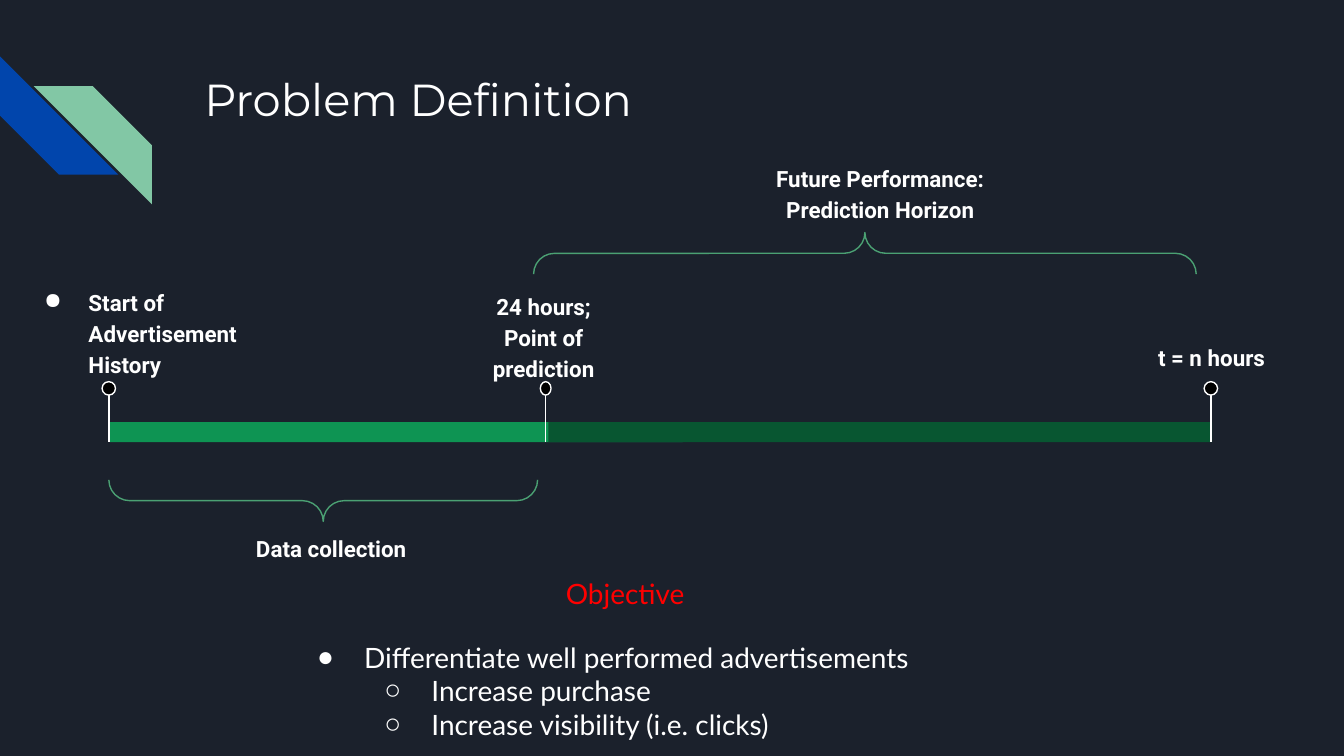
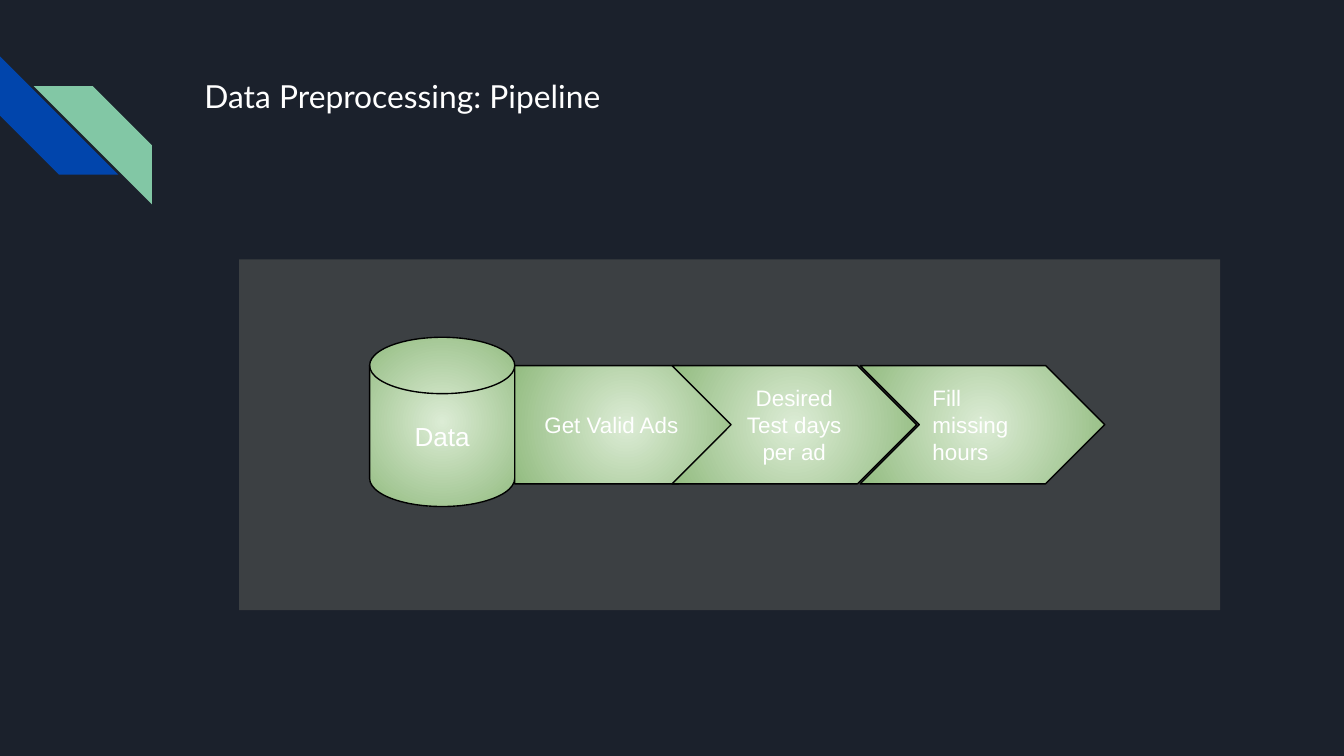
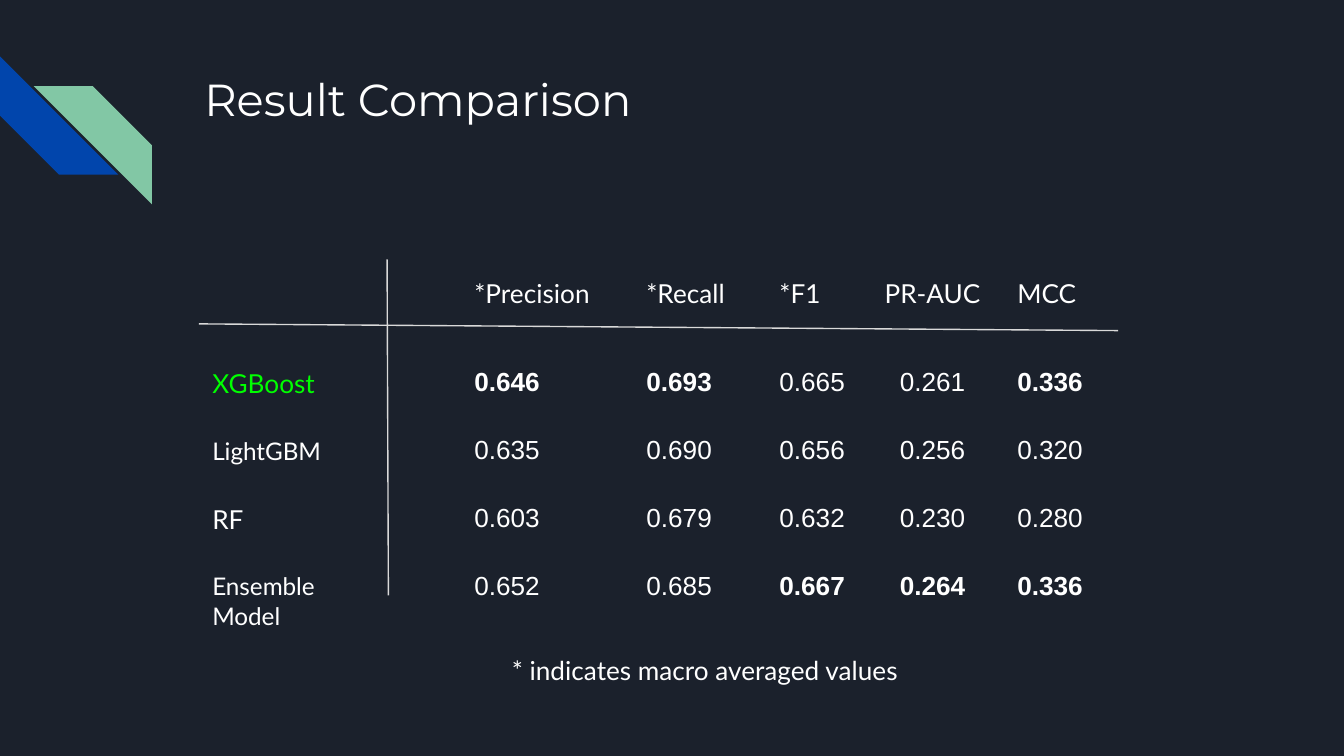
from dataclasses import dataclass
from typing import NamedTuple

from lxml import etree
from pptx import Presentation
from pptx.dml.color import RGBColor
from pptx.enum.shapes import MSO_CONNECTOR, MSO_SHAPE
from pptx.enum.text import MSO_ANCHOR, MSO_AUTO_SIZE, PP_ALIGN
from pptx.oxml.ns import qn
from pptx.util import Emu, Inches, Pt

RECT, OVAL = MSO_SHAPE.RECTANGLE, MSO_SHAPE.OVAL
STRIPE, BRACE = MSO_SHAPE.DIAGONAL_STRIPE, MSO_SHAPE.LEFT_BRACE
DISK = MSO_SHAPE.FLOWCHART_MAGNETIC_DISK
PLATE, CHEVRON = MSO_SHAPE.PENTAGON, MSO_SHAPE.CHEVRON
LINE = MSO_CONNECTOR.STRAIGHT
LEFT, MID = PP_ALIGN.LEFT, PP_ALIGN.CENTER
TOP, CENTER = MSO_ANCHOR.TOP, MSO_ANCHOR.MIDDLE
FIXED, GROW = MSO_AUTO_SIZE.NONE, MSO_AUTO_SIZE.SHAPE_TO_FIT_TEXT

WIDTH, HEIGHT = Inches(10), Inches(5.625)
COLS = 100
NIGHT, WHITE, BLACK, RED = "1B212C", "FFFFFF", "000000", "FF0000"
BLUE, MINT, LIME, GRAY = "0145AC", "82C7A5", "00FF00", "D9D9D9"
GREEN, FOREST, LEAF, SLATE = "0E9453", "085631", "4BA173", "3C4043"
PALE, SAGE = "DCECD5", "93BC81"
THIN = Pt(0.75)


class Box(NamedTuple):
    x: float
    y: float
    w: float
    h: float


@dataclass
class Style:
    size: float = 12
    font: str = "Arial"
    tint: str = WHITE
    bold: bool = False


@dataclass
class Label:
    box: Box
    lines: list
    align: int = MID
    dot: str = ""


@dataclass
class Step:
    kind: int
    box: Box
    text: str
    size: int = 12
    align: int = MID


@dataclass
class Model:
    name: str
    scores: str
    best: tuple = ()
    size: int = 14
    tint: str = WHITE


TITLE = Style(24, "Montserrat")
SMALL = Style(17, "Lato")
STRONG = Style(12, "Roboto", bold=True)
LIST = Style(15, "Lato")
HEAD = Style(14, "Lato")


def grid(n: float) -> Emu:
    return Emu(round(n * WIDTH / COLS))


def place(box: Box) -> list:
    return [grid(n) for n in box]


def color(code: str) -> RGBColor:
    return RGBColor.from_string(code)


def write(para, text: str, style: Style) -> None:
    run = para.add_run()
    run.text = text
    font = run.font
    font.size, font.name, font.bold = Pt(style.size), style.font, style.bold
    font.color.rgb = color(style.tint)


def pad(frame, top: float = 1, anchor: int = TOP, size: int = FIXED) -> None:
    frame.margin_left = frame.margin_right = frame.margin_bottom = grid(1)
    frame.margin_top = grid(top)
    frame.vertical_anchor = anchor
    frame.word_wrap = True
    frame.auto_size = size


def indent(para, left: float, first: float, dot: str = "") -> None:
    props = para._p.get_or_add_pPr()
    props.set("marL", str(grid(left)))
    props.set("indent", str(grid(first)))
    if dot:
        hue = etree.SubElement(props, qn("a:buClr"))
        etree.SubElement(hue, qn("a:srgbClr"), val=WHITE)
        etree.SubElement(props, qn("a:buChar"), char=dot)
    else:
        etree.SubElement(props, qn("a:buNone"))


def draw(slide, kind: int, box: Box, fill: str = "", edge: str = "", turn: float = 0):
    shape = slide.shapes.add_shape(kind, *place(box))
    shape.shadow.inherit = False
    shape.rotation = turn
    if fill:
        shape.fill.solid()
        shape.fill.fore_color.rgb = color(fill)
    else:
        shape.fill.background()
    if edge:
        shape.line.color.rgb = color(edge)
        shape.line.width = THIN
    else:
        shape.line.fill.background()
    return shape


def glow(shape) -> None:
    shape.fill.gradient()
    for stop, tint in zip(shape.fill.gradient_stops, (PALE, SAGE)):
        stop.color.rgb = color(tint)
    fade = shape.element.spPr.find(qn("a:gradFill"))
    fade.remove(fade.find(qn("a:lin")))
    ring = etree.SubElement(fade, qn("a:path"))
    ring.set("path", "circle")
    etree.SubElement(ring, qn("a:fillToRect"), l="50000", t="50000", r="50000", b="50000")


def rule(slide, x1: float, y1: float, x2: float, y2: float, tint: str) -> None:
    line = slide.shapes.add_connector(LINE, *place(Box(x1, y1, x2, y2)))
    line.line.color.rgb = color(tint)
    line.line.width = THIN
    etree.SubElement(line.element.spPr, qn("a:effectLst"))


def pin(slide, x: float, wide: float) -> None:
    rule(slide, x, 28.9, x, 32.9, WHITE)
    draw(slide, OVAL, Box(x - wide / 2, 28.4, wide, 1), BLACK, WHITE)


def brace(slide, box: Box, turn: float) -> None:
    draw(slide, BRACE, box, edge=LEAF, turn=turn).adjustments[0] = 0.5


def label(slide, item: Label) -> None:
    frame = slide.shapes.add_textbox(*place(item.box)).text_frame
    pad(frame)
    para = frame.paragraphs[0]
    para.alignment = item.align
    para.line_spacing = 1.15
    if item.dot:
        indent(para, 5, -3.3, item.dot)
    else:
        para.space_after = Pt(16)
    for i, text in enumerate(item.lines):
        if i:
            para.add_line_break()
        write(para, text, STRONG)


def start(deck, text: str, style: Style = TITLE, gap: float = 1, layout: int = 5):
    slide = deck.slides.add_slide(deck.slide_layouts[layout])
    head = slide.shapes.title
    head.left, head.top, head.width, head.height = place(Box(14.2, 4.3, 77, 10))
    pad(head.text_frame)
    para = head.text_frame.paragraphs[0]
    para.alignment = LEFT
    para.line_spacing = gap
    write(para, text, style)
    return slide


def brand(deck, slide) -> None:
    master = deck.slide_master
    master.background.fill.solid()
    master.background.fill.fore_color.rgb = color(NIGHT)
    blue = draw(slide, STRIPE, Box(0, 4.2, 8.8, 8.8), BLUE, turn=270)
    mint = draw(slide, STRIPE, Box(2.5, 6.4, 8.8, 8.8), MINT)
    mint.element.spPr.find(qn("a:xfrm")).set("flipH", "1")
    for shape in (blue, mint):
        master.shapes.element.append(shape.element)


def goals(slide) -> None:
    body = slide.placeholders[1]
    body.left, body.top, body.width, body.height = place(Box(21.1, 37.2, 51.6, 18.3))
    frame = body.text_frame
    pad(frame, top=5.7)
    rows = [
        ("Objective", 0, 15, 5, "", 0, RED),
        ("Differentiate well performed advertisements", 0, 5, -3.5, "●", 16, WHITE),
        ("Increase purchase", 1, 10, -3.5, "○", 0, WHITE),
        ("Increase visibility (i.e. clicks)", 1, 10, -3.5, "○", 0, WHITE),
    ]
    for i, (text, level, left, first, dot, gap, tint) in enumerate(rows):
        para = frame.add_paragraph() if i else frame.paragraphs[0]
        para.level = level
        para.space_before = Pt(gap)
        indent(para, left, first, dot)
        write(para, text, Style(LIST.size, LIST.font, tint))


def problem(deck) -> None:
    slide = start(deck, "Problem Definition", layout=1)
    brand(deck, slide)
    for x, wide, tint in [(40.2, 10.6, GREEN), (40.8, 49.4, FOREST), (8.2, 32, GREEN)]:
        draw(slide, RECT, Box(x, 31.4, wide, 1.5), tint)
    for item in [
        Label(Box(83.5, 24.3, 13.3, 4.1), ["t = n hours"]),
        Label(Box(32.2, 20.5, 16.5, 4.1), ["24 hours;", "Point of", "prediction"]),
        Label(Box(56, 11, 19, 4.1), ["Future Performance: Prediction Horizon"]),
        Label(Box(18, 38.5, 13.3, 4.1), ["Data collection"]),
        Label(Box(0.6, 20.2, 22.5, 6.5), ["Start of Advertisement History"], LEFT, "●"),
    ]:
        label(slide, item)
    brace(slide, Box(62.8, -5.8, 3.1, 49.3), 90)
    brace(slide, Box(22.5, 21.3, 3.1, 31.9), 270)
    for x, wide in [(8.1, 1), (90.1, 1), (40.6, 0.8)]:
        pin(slide, x, wide)
    goals(slide)


def process(deck) -> None:
    slide = start(deck, "Data Preprocessing: Pipeline", SMALL, 1.15)
    draw(slide, RECT, Box(17.8, 19.3, 73, 26.1), SLATE)
    for step in [
        Step(DISK, Box(27.5, 25.1, 10.8, 12.6), "Data", 14),
        Step(PLATE, Box(38.3, 27.2, 16.6, 8.8), "Get Valid Ads"),
        Step(CHEVRON, Box(50, 27.2, 18.2, 8.8), "Desired Test days per ad"),
        Step(CHEVRON, Box(64, 27.2, 18.2, 8.8), "Fill missing hours", align=LEFT),
    ]:
        shape = draw(slide, step.kind, step.box, edge=BLACK)
        glow(shape)
        pad(shape.text_frame, anchor=CENTER)
        para = shape.text_frame.paragraphs[0]
        para.alignment = step.align
        write(para, step.text, Style(step.size))


def border(cell) -> None:
    props = cell._tc.get_or_add_tcPr()
    for i, side in enumerate("LRTB"):
        line = etree.Element(qn("a:ln" + side), w=str(THIN))
        fill = etree.SubElement(line, qn("a:solidFill"))
        etree.SubElement(fill, qn("a:srgbClr"), val=NIGHT)
        props.insert(i, line)


def results(deck) -> None:
    slide = start(deck, "Result Comparison")
    heads = ["*Precision", "*Recall", "*F1", "PR-AUC", "MCC"]
    models = [
        Model("XGBoost", "0.646 0.693 0.665 0.261 0.336", (0, 1, 4), tint=LIME),
        Model("LightGBM", "0.635 0.690 0.656 0.256 0.320", size=13),
        Model("RF", "0.603 0.679 0.632 0.230 0.280"),
        Model("Ensemble Model", "0.652 0.685 0.667 0.264 0.336", (2, 3, 4), 13),
    ]
    wides = [14.2, 5.3, 12.8, 9.9, 7.1, 10.6, 13.8]
    highs = [6.7, 4.3, 4.3, 4.3, 7.4]
    box = Box(14.8, 19.7, sum(wides), sum(highs))
    table = slide.shapes.add_table(len(highs), len(wides), *place(box)).table
    table.first_row = table.horz_banding = False
    for col, wide in zip(table.columns, wides):
        col.width = grid(wide)
    for row, high in zip(table.rows, highs):
        row.height = grid(high)
    cells = [[None, None] + [(text, HEAD) for text in heads]]
    for model in models:
        scores = [
            (text, Style(14, bold=i in model.best))
            for i, text in enumerate(model.scores.split())
        ]
        cells.append([(model.name, Style(model.size, "Lato", model.tint)), None] + scores)
    for r, row in enumerate(cells):
        for c, item in enumerate(row):
            cell = table.cell(r, c)
            cell.fill.background()
            border(cell)
            cell.margin_left = cell.margin_right = grid(1)
            cell.margin_top = cell.margin_bottom = grid(1)
            if item:
                para = cell.text_frame.paragraphs[0]
                para.alignment = MID if c == 5 else LEFT
                write(para, *item)
    rule(slide, 28.8, 19.3, 28.9, 44.3, GRAY)
    rule(slide, 14.8, 24.1, 83.2, 24.6, GRAY)
    note = slide.shapes.add_textbox(*place(Box(32.1, 47.7, 46.1, 4.4))).text_frame
    pad(note, size=GROW)
    para = note.paragraphs[0]
    indent(para, 5, 0)
    write(para, "* indicates macro averaged values", HEAD)


def main() -> None:
    deck = Presentation()
    deck.slide_width, deck.slide_height = WIDTH, HEIGHT
    problem(deck)
    process(deck)
    results(deck)
    deck.save("out.pptx")


if __name__ == "__main__":
    main()
